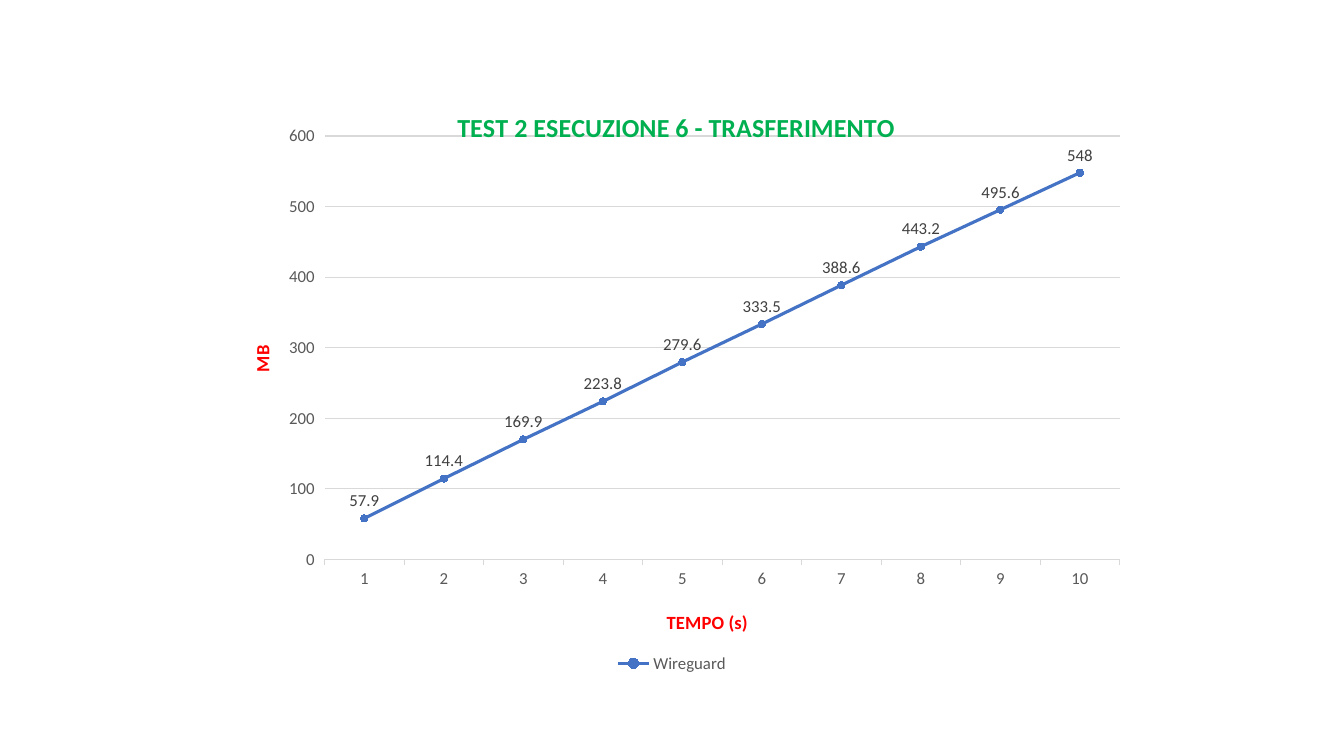
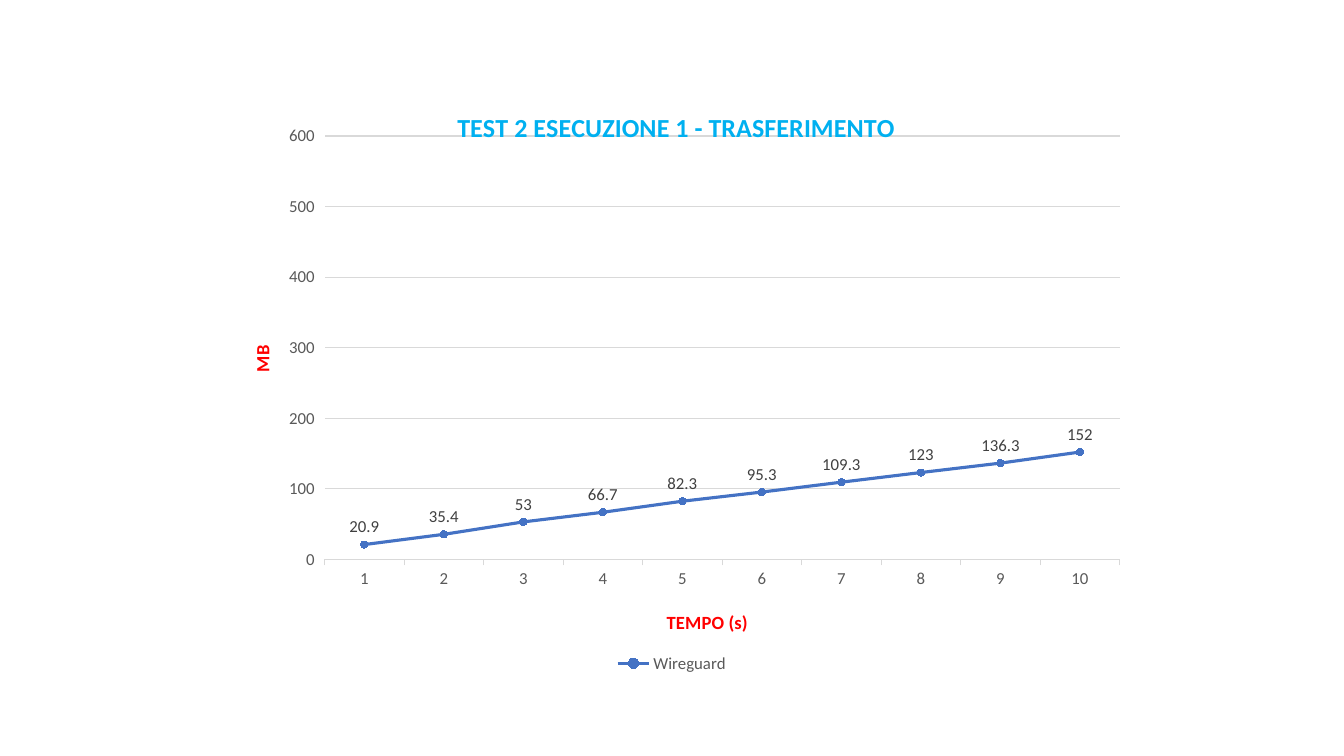
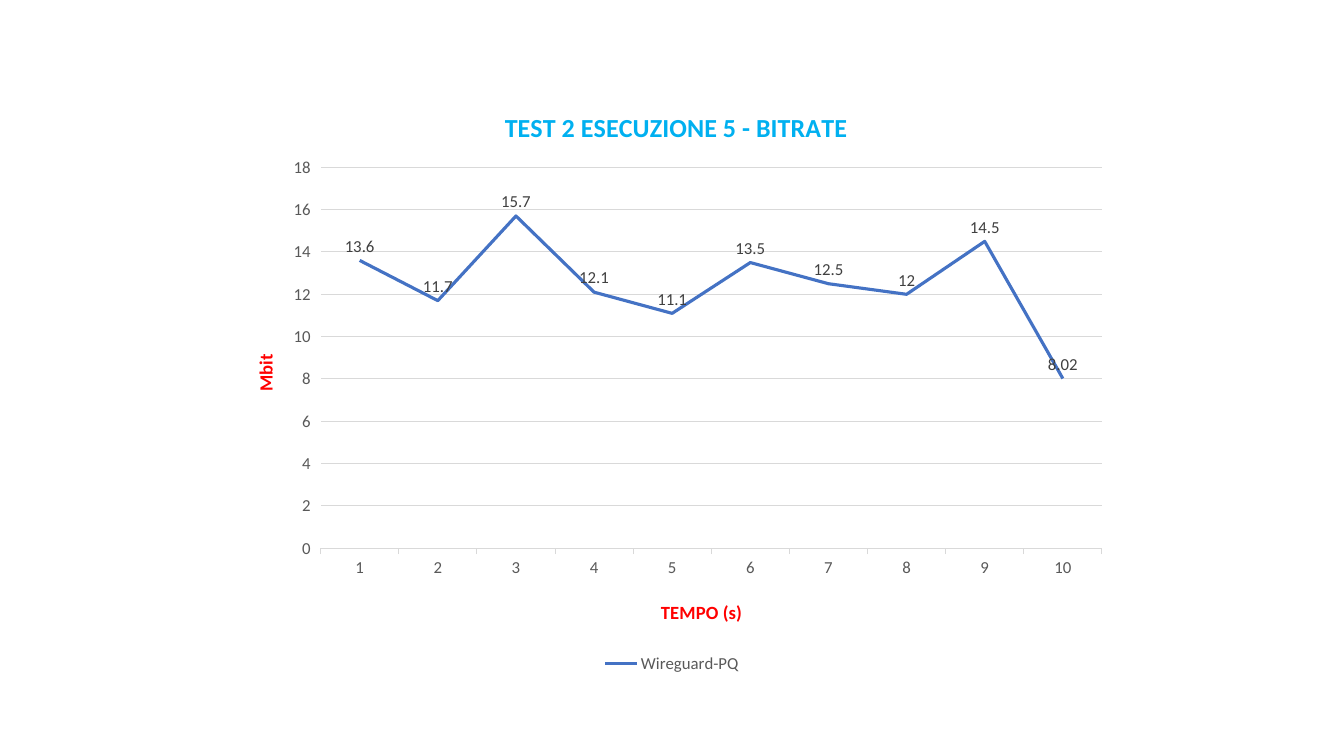
"""Build three line-chart slides with the results of the Wireguard transfer tests."""
from lxml import etree
from pptx import Presentation
from pptx.chart.data import CategoryChartData
from pptx.dml.color import RGBColor
from pptx.enum import chart as charts
from pptx.oxml import ns
from pptx.util import Inches, Pt

FONT = "Calibri"
BLUE, GRID, GREY, DARK, RED = "4472C4", "D9D9D9", "595959", "404040", "FF0000"
GREEN, CYAN = "00B050", "00B0F0"
CHART_WIDTH, CHART_HEIGHT = 8.89, 5.93

TRANSFER = {
    "type": charts.XL_CHART_TYPE.LINE_MARKERS, "series": "Wireguard", "unit": "MB", "maximum": 600,
    "plot": (1, 0.56, 7.89, 4.2), "title_at": (2.27, 0.25), "time_at": (4.36, 5.22), "unit_at": (0.22, 2.6),
}
BITRATE = {
    "type": charts.XL_CHART_TYPE.LINE, "series": "Wireguard-PQ", "unit": "Mbit", "maximum": None,
    "plot": (0.96, 0.87, 7.75, 3.78), "title_at": (2.74, 0.25), "time_at": (4.3, 5.12), "unit_at": (0.25, 2.69),
}
TESTS = [
    ("TEST 2 ESECUZIONE 6 - TRASFERIMENTO", GREEN, TRANSFER,
     (57.9, 114.4, 169.9, 223.8, 279.6, 333.5, 388.6, 443.2, 495.6, 548)),
    ("TEST 2 ESECUZIONE 1 - TRASFERIMENTO", CYAN, TRANSFER,
     (20.9, 35.4, 53, 66.7, 82.3, 95.3, 109.3, 123, 136.3, 152)),
    ("TEST 2 ESECUZIONE 5 - BITRATE", CYAN, BITRATE,
     (13.6, 11.7, 15.7, 12.1, 11.1, 13.5, 12.5, 12, 14.5, 8.02)),
]


def style_font(font, size, color, bold=False):
    """Set the typeface, size, colour and weight of a font."""
    font.name, font.size, font.bold = FONT, Pt(size), bold
    font.color.rgb = RGBColor.from_string(color)


def place(parent, index, box):
    """Fix a chart part at left, top and, if given, width and height in inches."""
    for old_layout in parent.findall(ns.qn("c:layout")):
        parent.remove(old_layout)
    layout = etree.Element(ns.qn("c:layout"))
    manual = etree.SubElement(layout, ns.qn("c:manualLayout"))
    fractions = [length / whole for length, whole in zip(box, (CHART_WIDTH, CHART_HEIGHT) * 2)]
    settings = [("xMode", "edge"), ("yMode", "edge"), *zip("xywh", fractions)]
    if len(box) == 4:
        settings.insert(0, ("layoutTarget", "inner"))
    for name, value in settings:
        etree.SubElement(manual, ns.qn(f"c:{name}")).set("val", str(value))
    parent.insert(index, layout)


presentation = Presentation()
presentation.slide_width, presentation.slide_height = Inches(13.33), Inches(7.5)

for heading, heading_color, kind, values in TESTS:
    slide = presentation.slides.add_slide(presentation.slide_layouts[6])
    data = CategoryChartData()
    data.categories = [str(second) for second in range(1, 11)]
    data.add_series(kind["series"], values)
    chart = slide.shapes.add_chart(
        kind["type"], Inches(2.22), Inches(0.79), Inches(CHART_WIDTH), Inches(CHART_HEIGHT), data).chart
    style_font(chart.font, 10, "000000")

    time_axis, value_axis = chart.category_axis, chart.value_axis
    for owner, words, size, color, corner in (
            (chart, heading, 18.6, heading_color, kind["title_at"]),
            (time_axis, "TEMPO (s)", 13.3, RED, kind["time_at"]),
            (value_axis, kind["unit"], 13.3, RED, kind["unit_at"])):
        title = owner.chart_title if owner is chart else owner.axis_title
        run = title.text_frame.paragraphs[0].add_run()
        run.text = words
        style_font(run.font, size, color, True)
        place(title._element, 1, corner)
    value_axis.axis_title.text_frame._txBody.bodyPr.set("rot", "-5400000")
    chart.chart_title.include_in_layout = False

    for axis in (time_axis, value_axis):
        style_font(axis.tick_labels.font, 12, GREY)
        axis.major_tick_mark = charts.XL_TICK_MARK.OUTSIDE
    value_axis.format.line.fill.background()
    value_axis.has_major_gridlines = True
    for line in (time_axis.format.line, value_axis.major_gridlines.format.line):
        line.color.rgb = RGBColor.from_string(GRID)
        line.width = Pt(0.75)
    if kind["maximum"]:
        value_axis.minimum_scale, value_axis.maximum_scale = 0, kind["maximum"]

    chart.has_legend = True
    chart.legend.position = charts.XL_LEGEND_POSITION.BOTTOM
    chart.legend.include_in_layout = False
    style_font(chart.legend.font, 12, GREY)

    plot = chart.plots[0]
    plot.vary_by_categories = False
    series = plot.series[0]
    series.smooth = False
    series.format.line.color.rgb = RGBColor.from_string(BLUE)
    series.format.line.width = Pt(2.25)
    if kind["type"] == charts.XL_CHART_TYPE.LINE_MARKERS:
        series.marker.style, series.marker.size = charts.XL_MARKER_STYLE.CIRCLE, 5
        series.marker.format.fill.solid()
        series.marker.format.fill.fore_color.rgb = RGBColor.from_string(BLUE)
        series.marker.format.line.color.rgb = RGBColor.from_string(BLUE)
    labels = series.data_labels
    labels.show_value = True
    labels.position = charts.XL_LABEL_POSITION.ABOVE
    style_font(labels.font, 12, DARK)
    place(chart._chartSpace.chart.plotArea, 0, kind["plot"])

presentation.save("out.pptx")
